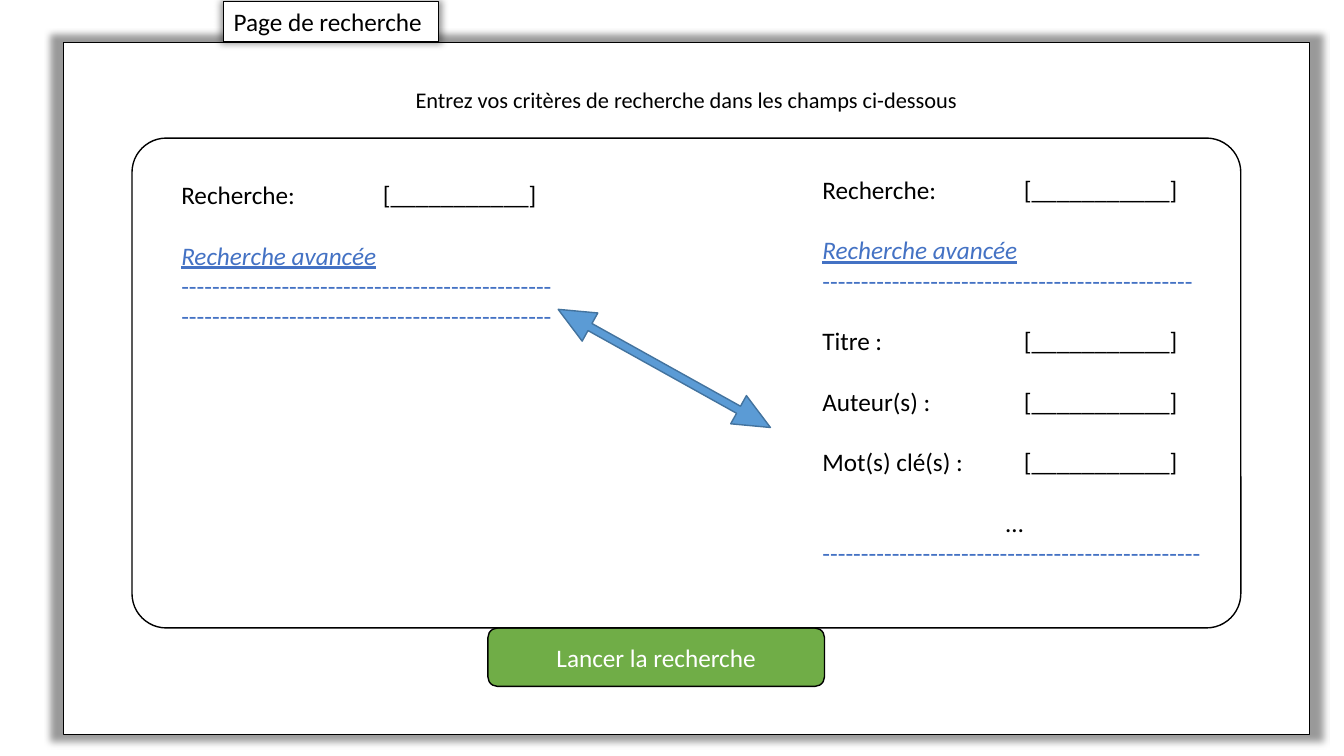
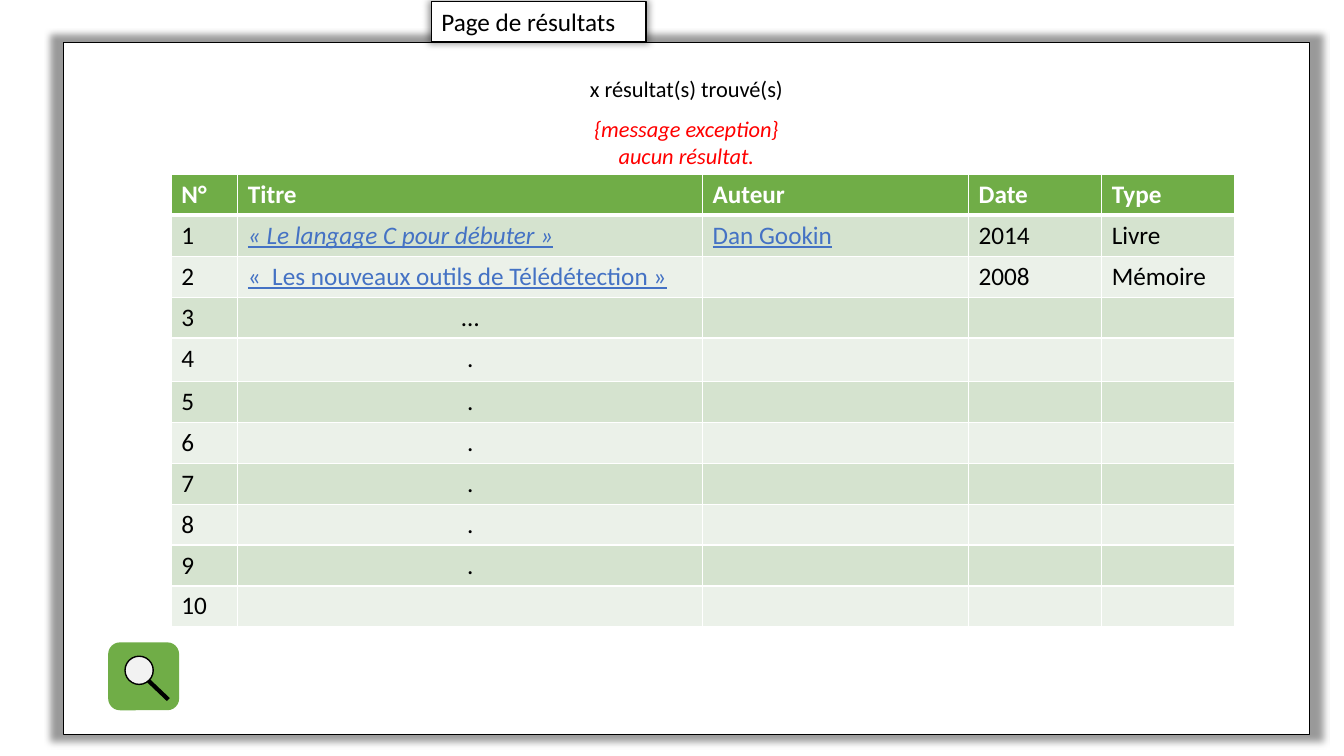
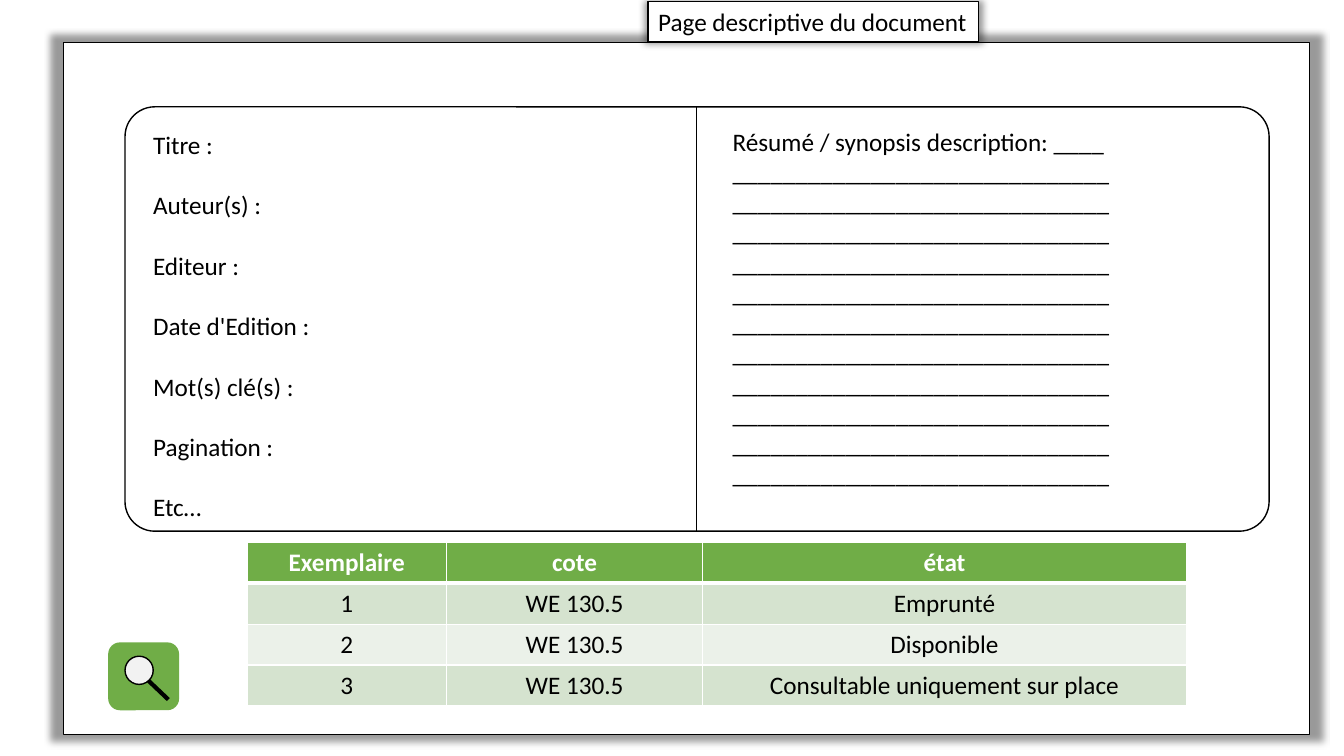
from dataclasses import dataclass
from typing import Any, NamedTuple, Optional, Sequence

from lxml import etree
from pptx import Presentation
from pptx import util as u
from pptx.dml import color
from pptx.enum import shapes, text
from pptx.oxml import ns

# Shared values: the grid has ten columns and ten rows to the inch
CELL = u.Inches(0.1)
COLUMNS, ROWS = 133.33, 75
LINE_GAP = u.Pt(21.6)
FIELD_STOP = 20
COLORS = {
    "white": "FFFFFF", "black": "000000", "green": "70AD47", "band": "D5E3CF",
    "pale": "EBF1E9", "link": "4472C4", "red": "FF0000", "lens": "F2F2F2",
    "arrow": "5B9BD5", "arrow edge": "43739E",
}
LOOKS: dict[str, dict[str, Any]] = {
    "body": {"size": 18, "color": "black"},
    "hint": {"size": 16, "color": "black"},
    "alert": {"size": 16, "color": "red", "italic": True},
    "button": {"size": 18, "color": "white"},
    "header": {"size": 18, "color": "white", "bold": True},
    "rule": {"size": 18, "color": "link"},
    "link": {"size": 18, "color": "link", "underline": True},
    "title link": {"size": 18, "color": "link", "underline": True, "italic": True},
}
ALIGN = {"left": text.PP_ALIGN.LEFT, "center": text.PP_ALIGN.CENTER}
KIND = shapes.MSO_SHAPE


class Area(NamedTuple):
    """Left, top, width and height in grid cells."""
    left: float
    top: float
    width: float
    height: float


@dataclass(frozen=True)
class Para:
    words: str
    look: str = "body"
    align: str = "left"
    gap: bool = False


@dataclass(frozen=True)
class Panel:
    area: Area
    kind: Any = KIND.RECTANGLE
    fill: Optional[str] = "white"
    line: Optional[str] = "black"
    paras: Sequence[Para] = ()
    guides: Optional[dict[str, float]] = None
    glow: bool = False
    middle: bool = True
    turn: float = 0


@dataclass(frozen=True)
class Stroke:
    start: tuple[float, float]
    end: tuple[float, float]
    weight: float


@dataclass(frozen=True)
class Grid:
    left: float
    top: float
    widths: Sequence[float]
    heights: Sequence[float]
    rows: Sequence[Sequence[Para]]


def cells(count: float) -> int:
    return round(count * CELL)


def rgb(name: str) -> color.RGBColor:
    return color.RGBColor.from_string(COLORS[name])


def add_child(parent: Any, tag: str, **values: Any) -> Any:
    attributes = {key: str(value) for key, value in values.items()}
    return etree.SubElement(parent, ns.qn(tag), attributes)


# Text
def write_para(para: Any, content: Para) -> None:
    para.alignment = ALIGN[content.align]
    if content.gap:
        para.space_before = LINE_GAP
    if "\t" in content.words:
        stops = add_child(para._p.get_or_add_pPr(), "a:tabLst")
        add_child(stops, "a:tab", pos=cells(FIELD_STOP), algn="l")
    span = para.add_run()
    span.text = content.words
    look = {"name": "Calibri", **LOOKS[content.look]}
    span.font.color.rgb = rgb(look.pop("color"))
    look["size"] = u.Pt(look["size"])
    for key, value in look.items():
        setattr(span.font, key, value)


def write_frame(frame: Any, paras: Sequence[Para], **settings: Any) -> None:
    for key, value in {"word_wrap": True, **settings}.items():
        setattr(frame, key, value)
    for index, content in enumerate(paras):
        write_para(frame.add_paragraph() if index else frame.paragraphs[0], content)


def draw_text(page: Any, area: Area, paras: Sequence[Para]) -> None:
    box = page.shapes.add_textbox(*map(cells, area))
    write_frame(box.text_frame, paras, auto_size=text.MSO_AUTO_SIZE.SHAPE_TO_FIT_TEXT)


# Shapes and lines
def set_guides(shape: Any, guides: dict[str, float]) -> None:
    """Write the guides by name: the library names both guides of this arrow alike."""
    values = shape._element.spPr.find(ns.qn("a:prstGeom")).find(ns.qn("a:avLst"))
    for guide in list(values):
        values.remove(guide)
    for name, share in guides.items():
        add_child(values, "a:gd", name=name, fmla=f"val {round(share * 100000)}")


def draw_panel(target: Any, panel: Panel) -> None:
    shape = target.add_shape(panel.kind, *map(cells, panel.area))
    shape.shadow.inherit = False
    shape.rotation = panel.turn
    if panel.guides:
        set_guides(shape, panel.guides)
    if panel.fill:
        shape.fill.solid()
        shape.fill.fore_color.rgb = rgb(panel.fill)
    else:
        shape.fill.background()
    if panel.line:
        shape.line.color.rgb = rgb(panel.line)
        shape.line.width = u.Pt(1)
    else:
        shape.line.fill.background()
    if panel.glow:
        effects = shape._element.spPr.find(ns.qn("a:effectLst"))
        shadow = add_child(effects, "a:outerShdw", blurRad=u.Pt(5), sx=102000,
                           sy=102000, algn="ctr", rotWithShape=0)
        tint = add_child(shadow, "a:srgbClr", val=COLORS["black"])
        add_child(tint, "a:alpha", val=40000)
    if panel.paras:
        anchor = text.MSO_ANCHOR.MIDDLE if panel.middle else text.MSO_ANCHOR.TOP
        write_frame(shape.text_frame, panel.paras, vertical_anchor=anchor)


def draw_stroke(target: Any, stroke: Stroke) -> None:
    ends = map(cells, (*stroke.start, *stroke.end))
    line = target.add_connector(shapes.MSO_CONNECTOR.STRAIGHT, *ends)
    line.line.color.rgb = rgb("black")
    line.line.width = u.Pt(stroke.weight)
    add_child(line._element.spPr, "a:effectLst")


# Tables
def draw_borders(cell: Any, bottom: float) -> None:
    properties = cell._tc.get_or_add_tcPr()
    for index, (side, weight) in enumerate(zip("LRTB", (1, 1, 1, bottom))):
        edge = add_child(properties, f"a:ln{side}", w=u.Pt(weight))
        tint = add_child(edge, "a:solidFill")
        add_child(tint, "a:srgbClr", val=COLORS["white"])
        properties.insert(index, edge)


def draw_table(page: Any, grid: Grid) -> None:
    area = (grid.left, grid.top, sum(grid.widths), sum(grid.heights))
    frame = page.shapes.add_table(len(grid.heights), len(grid.widths), *map(cells, area))
    table = frame.table
    table.horz_banding = False
    for column, width in zip(table.columns, grid.widths):
        column.width = cells(width)
    for row, height in zip(table.rows, grid.heights):
        row.height = cells(height)
    for number, row in enumerate(grid.rows):
        fill = "green" if number == 0 else ("pale", "band")[number % 2]
        for index, content in enumerate(row):
            cell = table.cell(number, index)
            cell.fill.solid()
            cell.fill.fore_color.rgb = rgb(fill)
            draw_borders(cell, 1 if number else 3)
            if content.words:
                write_para(cell.text_frame.paragraphs[0], content)


# Parts that the pages share
def start_page(deck: Any, name: str, left: float, width: float) -> Any:
    page = deck.slides.add_slide(deck.slide_layouts[6])
    draw_panel(page.shapes, Panel(Area(6.3, 4.2, 123.6, 68.7), glow=True))
    draw_panel(page.shapes, Panel(Area(left, 0.13, width, 4.04), paras=[Para(name)],
                                  glow=True, middle=False))
    return page


def draw_card(page: Any, area: Area) -> None:
    draw_panel(page.shapes, Panel(area, KIND.ROUNDED_RECTANGLE, guides={"adj": 0.07}))


def draw_hint(page: Any, area: Area, words: str) -> None:
    draw_panel(page.shapes, Panel(area, KIND.ROUNDED_RECTANGLE, None, None,
                                  [Para(words, "hint", "center")]))


def draw_search_icon(page: Any) -> None:
    icon = page.shapes.add_group_shape().shapes
    draw_panel(icon, Panel(Area(10.8, 63.8, 6.9, 6.6), KIND.ROUNDED_RECTANGLE,
                           "green", "green"))
    draw_panel(icon, Panel(Area(12.4, 65.1, 2.8, 2.8), KIND.OVAL, "lens"))
    draw_stroke(icon, Stroke((16.7, 69.4), (14.7, 67.5), 3))


# Search page
def build_search(deck: Any) -> None:
    page = start_page(deck, "Page de recherche", 22.2, 21.3)
    draw_panel(page.shapes, Panel(Area(48.4, 62.3, 33.4, 5.8), KIND.ROUNDED_RECTANGLE,
                                  "green", paras=[Para("Lancer la recherche",
                                                       "button", "center")]))
    draw_hint(page, Area(35.6, 6, 65, 7.7),
              "Entrez vos critères de recherche dans les champs ci-dessous")
    draw_card(page, Area(13.1, 13.7, 110, 48.6))

    field = "\t[___________]"
    rule = Para("-" * 48, "rule")
    simple = [Para("Recherche:" + field), Para("Recherche avancée", "title link", gap=True),
              rule]
    criteria = [Para(name + field, gap=True)
                for name in ("Titre :", "Auteur(s) :", "Mot(s) clé(s) :")]
    more = [Para("…", align="center", gap=True), Para("-" * 49, "rule")]
    draw_text(page, Area(80.6, 16.8, 40.1, 40.4), simple + criteria + more)
    draw_panel(page.shapes, Panel(Area(64.3, 24.5, 3.2, 24.1), KIND.UP_DOWN_ARROW, "arrow",
                                  "arrow edge", guides={"adj1": 0.25, "adj2": 1.13},
                                  turn=299.1))
    draw_text(page, Area(17, 17.3, 40.1, 16.2), simple + [rule])


# Results page
def build_results(deck: Any) -> None:
    page = start_page(deck, "Page de résultats", 42.8, 21.3)
    draw_hint(page, Area(35.6, 6.7, 65, 4.2), "x résultat(s) trouvé(s)")
    draw_text(page, Area(39.6, 10.9, 57, 6.4),
              [Para(words, "alert", "center")
               for words in ("{message exception}", "aucun résultat.")])
    empty = Para("")
    rows = [
        [Para(words, "header") for words in ("N°", "Titre", "Auteur", "Date", "Type")],
        [Para("1"), Para("«\u00a0Le langage C pour débuter\u00a0»", "title link"),
         Para("Dan Gookin", "link"), Para("2014"), Para("Livre")],
        [Para("2"), Para("«\u00a0\u00a0Les nouveaux outils de Télédétection »", "link"),
         empty, Para("2008"), Para("Mémoire")],
    ]
    for number, mark in enumerate(["…", *"......", ""], start=3):
        rows.append([Para(str(number)), Para(mark, align="center"), empty, empty, empty])
    heights = [4.06] * 4 + [4.3] + [4.06] * 6
    draw_table(page, Grid(17, 17.3, (6.6, 46.1, 26.4, 13.2, 13.2), heights, rows))
    draw_search_icon(page)


# Document page
def build_document(deck: Any) -> None:
    page = start_page(deck, "Page descriptive du document", 64.3, 32.8)
    draw_card(page, Area(12.4, 10.6, 113.5, 42.1))
    draw_text(page, Area(71.7, 12, 49.7, 37.4),
              [Para("Résumé / synopsis description: ____"), *[Para("_" * 30)] * 11])
    names = ("Titre :", "Auteur(s) :", "Editeur :", "Date d'Edition :",
             "Mot(s) clé(s) :", "Pagination :", "Etc…")
    draw_text(page, Area(14.2, 12.3, 50.1, 40.4),
              [Para(name, gap=index > 0) for index, name in enumerate(names)])
    states = ("Emprunté", "Disponible", "Consultable uniquement sur place")
    rows = [[Para(words, "header", "center") for words in ("Exemplaire", "cote", "état")]]
    for number, state in enumerate(states, start=1):
        rows.append([Para(words, align="center")
                     for words in (str(number), "WE 130.5", state)])
    draw_table(page, Grid(24.5, 53.8, (19.8, 25.4, 48), [4.06] * 4, rows))
    draw_search_icon(page)
    draw_stroke(page.shapes, Stroke((69.1, 10.6), (69.1, 52.7), 0.5))


def main() -> None:
    deck = Presentation()
    deck.slide_width, deck.slide_height = cells(COLUMNS), cells(ROWS)
    for build in (build_search, build_results, build_document):
        build(deck)
    deck.save("out.pptx")


main()
